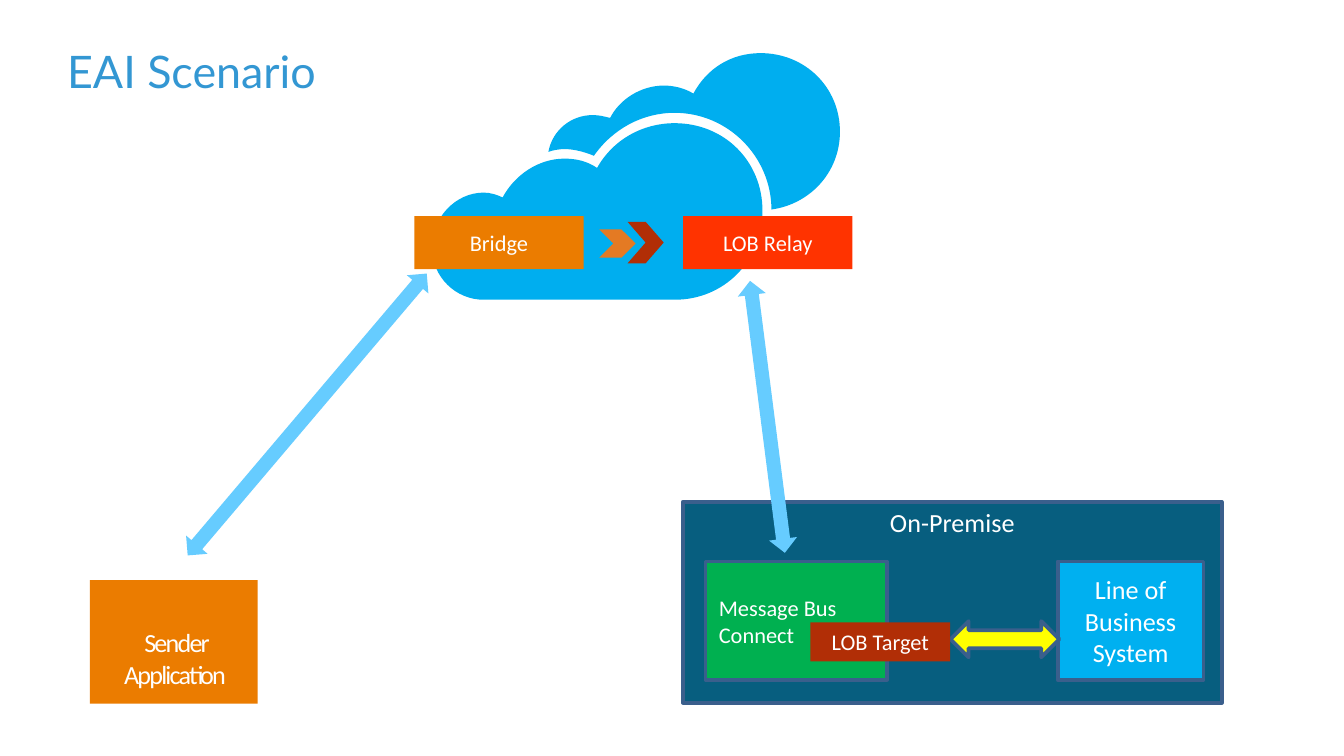
from lxml.etree import SubElement
from pptx import Presentation
from pptx.dml.color import RGBColor
from pptx.enum.shapes import MSO_SHAPE as KIND
from pptx.enum.text import MSO_ANCHOR as ANCHOR, PP_ALIGN as ALIGN
from pptx.oxml.ns import qn
from pptx.util import Pt

HEX = {
    "title": "3397D3", "cloud": "00AEEF", "navy": "075E7F", "edge": "3A5F8C",
    "green": "00B050", "blue": "00B0F0", "yellow": "FFFF00", "amber": "EB7C00",
    "orange": "E47A23", "rust": "B12E06", "red": "FF3300", "sky": "66CCFF",
    "white": "FFFFFF",
}
SIZE = (720, 405)
INSET = (7.2, 3.6, 7.2, 3.6)
TITLE = ("EAI Scenario", (30.2, 12.6, 659.5, 50.4), (5.8, 2.9, 5.8, 2.9))

# Each cloud: a start point, then cubic curves (control, control, end).
CLOUDS = [
    ((407.5, 28.5), [
        (391.7, 28.5, 378.7, 36.7, 371.5, 50.2),
        (367.2, 47.5, 361.4, 45.9, 355.7, 45.9),
        (343.4, 45.9, 331.9, 53.3, 326.9, 63.2),
        (323.3, 62.4, 321.1, 61.7, 317.5, 61.7),
        (306, 61.7, 295.9, 69.8, 293.8, 81.4),
        (295.9, 80.6, 299.5, 79.9, 302.4, 79.9),
        (307.4, 79.9, 313.2, 81.4, 318.2, 83.5),
        (328.3, 69.1, 344.2, 60.5, 361.4, 60.5),
        (390.2, 60.5, 413.3, 84.2, 413.3, 112.3),
        (434.2, 109.4, 450, 92.2, 450, 70.6),
        (450, 46.8, 431.3, 28.5, 407.5, 28.5),
    ]),
    ((361.4, 66), [
        (344.2, 66, 328.3, 74.9, 319.9, 90),
        (314.6, 86.4, 308.9, 85, 302.4, 85),
        (288.7, 85, 275.8, 93.6, 269.3, 105.8),
        (266.4, 104.4, 262.8, 103.2, 259.2, 103.2),
        (244.1, 103.2, 231.4, 116.6, 231.4, 132.5),
        (231.4, 148.3, 244.1, 160.6, 259.2, 160.6),
        (302.4, 160.6, 302.4, 160.6, 302.4, 160.6),
        (361.4, 160.6, 361.4, 160.6, 361.4, 160.6),
        (388.1, 160.6, 408.5, 139.7, 408.5, 113),
        (408.5, 86.4, 388.1, 66, 361.4, 66),
    ]),
]

# Back to front: kind, place, fill, then what differs from the defaults.
PARTS = [
    (KIND.RECTANGLE, (365.8, 268.9, 288.7, 107.6), "navy",
     dict(runs=[("On-Premise", 14)], edge=True, anchor=ANCHOR.TOP,
          inset=(7.2, 2.2, 7.2, 3.6))),
    (KIND.RECTANGLE, (378, 300.8, 97.2, 63.4), "green",
     dict(runs=[("Message Bus Connect", 12)], edge=True, align=ALIGN.LEFT)),
    (KIND.RECTANGLE, (566.6, 300.8, 78.2, 63.4), "blue",
     dict(runs=[("Line of Business System", 14)], edge=True)),
    (KIND.LEFT_RIGHT_ARROW, (509.2, 332.8, 58.3, 19.4), "yellow", dict(edge=True)),
    (KIND.CHEVRON, (321.1, 122.9, 19.4, 15.1), "orange", {}),
    (KIND.CHEVRON, (336.2, 118.8, 19.4, 22.3), "rust", {}),
    (KIND.LEFT_RIGHT_ARROW, (65.6, 214.5, 198, 15.1), "sky", dict(turn=310.3)),
    (KIND.RECTANGLE, (48.1, 310.8, 90, 66.2), "amber",
     dict(runs=[("Sender", 14), (" ", 16), ("Application ", 14)],
          anchor=ANCHOR.BOTTOM, inset=(7.2, 3.6, 3.6, 7.2), gap=-1)),
    (KIND.LEFT_RIGHT_ARROW, (337.7, 215.8, 146.9, 15.1), "sky", dict(turn=82.7)),
    (KIND.RECTANGLE, (434.2, 333.4, 74.9, 20.9), "rust",
     dict(runs=[("LOB Target", 12)])),
    (KIND.RECTANGLE, (222, 115.8, 90.7, 28.4), "amber",
     dict(runs=[("Bridge", 12)])),
    (KIND.RECTANGLE, (366, 115.8, 90.7, 28.4), "red",
     dict(runs=[("LOB Relay", 12)])),
]


def color(name):
    return RGBColor.from_string(HEX[name])


def write(shape, runs, inset=INSET, anchor=ANCHOR.MIDDLE, align=ALIGN.CENTER,
          font="Calibri", ink="white", gap=0):
    frame = shape.text_frame
    frame.word_wrap = True
    frame.vertical_anchor = anchor
    (frame.margin_left, frame.margin_top,
     frame.margin_right, frame.margin_bottom) = map(Pt, inset)
    para = frame.paragraphs[0]
    para.alignment = align
    for text, size in runs:
        run = para.add_run()
        run.text = text
        run.font.name = font
        run.font.size = Pt(size)
        run.font.color.rgb = color(ink)
        if gap:
            run._r.get_or_add_rPr().set("spc", str(gap * 100))


def paint(shape, fill, edge=False):
    shape.shadow.inherit = False
    shape.fill.solid()
    shape.fill.fore_color.rgb = color(fill)
    if edge:
        shape.line.color.rgb = color("edge")
        shape.line.width = Pt(2)
    else:
        shape.line.fill.background()


def add_cloud(shapes, start, curves):
    """Build the outline from its end points, then bend each side."""
    pen = shapes.build_freeform(*map(Pt, start))
    pen.add_line_segments([tuple(map(Pt, curve[4:])) for curve in curves])
    shape = pen.convert_to_shape()
    sides = list(shape._element.iter(qn("a:lnTo")))
    for side, curve in zip(sides, curves):
        bend = side.makeelement(qn("a:cubicBezTo"))
        for x, y in zip(curve[::2], curve[1::2]):
            SubElement(bend, qn("a:pt"), x=str(Pt(x) - shape.left),
                       y=str(Pt(y) - shape.top))
        side.getparent().replace(side, bend)
    paint(shape, "cloud")


def add_part(shapes, kind, place, fill, edge=False, turn=0, runs=(), **style):
    shape = shapes.add_shape(kind, *map(Pt, place))
    paint(shape, fill, edge)
    shape.rotation = turn
    if runs:
        write(shape, runs, **style)


def main():
    deck = Presentation()
    deck.slide_width, deck.slide_height = map(Pt, SIZE)
    shapes = deck.slides.add_slide(deck.slide_layouts[6]).shapes

    text, place, inset = TITLE
    write(shapes.add_textbox(*map(Pt, place)), [(text, 24)], inset,
          align=ALIGN.LEFT, font="Lato", ink="title")

    group = shapes.add_group_shape().shapes
    for start, curves in CLOUDS:
        add_cloud(group, start, curves)

    for kind, place, fill, more in PARTS:
        add_part(shapes, kind, place, fill, **more)
    deck.save("out.pptx")


if __name__ == "__main__":
    main()
